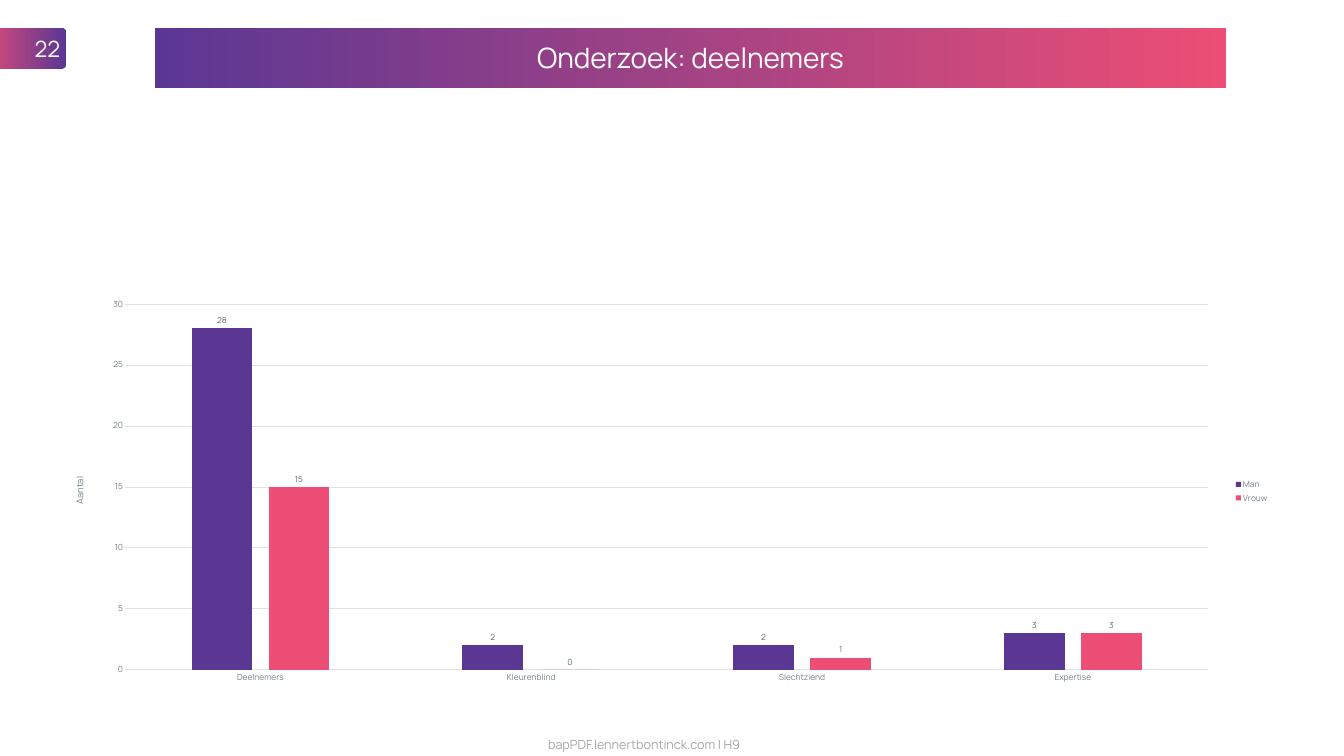
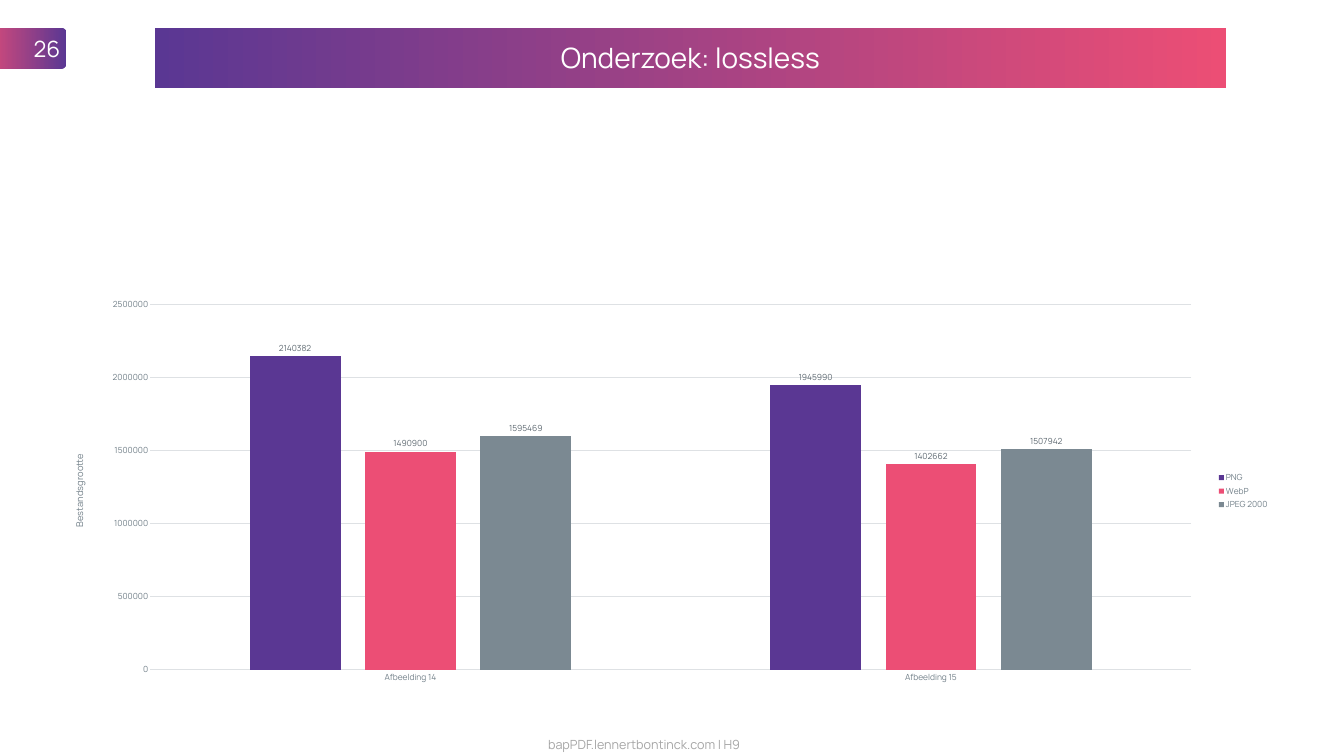
from lxml import etree
from pptx import Presentation
from pptx.chart.data import CategoryChartData
from pptx.dml.color import RGBColor
from pptx.enum.chart import XL_CHART_TYPE, XL_LABEL_POSITION, XL_LEGEND_POSITION, XL_TICK_MARK
from pptx.enum.shapes import MSO_SHAPE
from pptx.enum.text import MSO_ANCHOR, MSO_AUTO_SIZE, PP_ALIGN
from pptx.oxml.ns import qn
from pptx.util import Inches, Pt

COLUMNS = XL_CHART_TYPE.COLUMN_CLUSTERED
OUTSIDE_END = XL_LABEL_POSITION.OUTSIDE_END
LEGEND_RIGHT = XL_LEGEND_POSITION.RIGHT
NO_TICK = XL_TICK_MARK.NONE
RECT, ROUNDED = MSO_SHAPE.RECTANGLE, MSO_SHAPE.ROUNDED_RECTANGLE
MIDDLE = MSO_ANCHOR.MIDDLE
NO_FIT = MSO_AUTO_SIZE.NONE
CENTER, RIGHT = PP_ALIGN.CENTER, PP_ALIGN.RIGHT

FONT = "Manrope"
COLORS = {
    "purple": "5A3793", "pink": "EC4E75", "slate": "7B8992",
    "white": "FFFFFF", "footer": "A6A6A6", "axis": "717F88",
    "label": "5F6A72", "grid": "DEE1E4", "chart": "31373B",
}
SERIES_COLORS = ("purple", "pink", "slate")
FOOTER = "bapPDF.lennertbontinck.com | H9"

# Boxes are left, top, width, height in inches
BADGE_BOX = (-0.51, 0.56, 1.83, 0.8)
BAND_BOX = (3.07, 0.56, 21.25, 1.18)
FOOTER_BOX = (1.22, 14.58, 23.11, 0.4)
CHART_BOX = (1.22, 5.77, 24.06, 7.95)
PLOT_TOP, PLOT_HEIGHT = 0.26, 7.26


def color(name):
    return RGBColor.from_string(COLORS[name])


def style_font(font, size, name):
    font.name = FONT
    font.size = Pt(size)
    font.color.rgb = color(name)


def write(tf, text, size, name, align):
    tf.word_wrap = True
    tf.auto_size = NO_FIT
    tf.vertical_anchor = MIDDLE
    p = tf.paragraphs[0]
    p.alignment = align
    r = p.add_run()
    r.text = text
    style_font(r.font, size, name)


def add_gradient_shape(s, kind, box, angle):
    sp = s.shapes.add_shape(kind, *map(Inches, box))
    sp.shadow.inherit = False
    sp.line.fill.background()
    sp.fill.gradient()
    sp.fill.gradient_angle = angle
    for stop, name in zip(sp.fill.gradient_stops, ("purple", "pink")):
        stop.color.rgb = color(name)
    return sp


def add_badge(s, box, number):
    badge = add_gradient_shape(s, ROUNDED, box, 180)
    badge.adjustments[0] = 0.11
    write(badge.text_frame, str(number), 32, "white", RIGHT)


def add_title_band(s, box, text):
    band = add_gradient_shape(s, RECT, box, 0)
    left, top, width, height = box
    title = s.shapes.title
    title.left, title.width = Inches(left), Inches(width)
    title.top, title.height = Inches(top + 0.2), Inches(height - 0.41)
    write(title.text_frame, text, 40, "white", CENTER)
    band.element.addnext(title.element)  # keeps the title in front of its band


def add_footer(s, box):
    footer = s.shapes.add_textbox(*map(Inches, box))
    write(footer.text_frame, FOOTER, 18, "footer", CENTER)


def fix_plot_area(chart, box, left, width):
    """Pin the inner plot area, given in inches from the chart's corner."""
    plot_area = chart.element.xpath(".//c:plotArea")[0]
    for old in plot_area.findall(qn("c:layout")):
        plot_area.remove(old)
    layout = etree.Element(qn("c:layout"))
    manual = etree.SubElement(layout, qn("c:manualLayout"))
    settings = {
        "layoutTarget": "inner", "xMode": "edge", "yMode": "edge",
        "x": left / box[2], "y": PLOT_TOP / box[3],
        "w": width / box[2], "h": PLOT_HEIGHT / box[3],
    }
    for tag, value in settings.items():
        etree.SubElement(manual, qn("c:" + tag)).set("val", str(value))
    plot_area.insert(0, layout)


def style_axes(chart, axis_title, maximum, step):
    cat, val = chart.category_axis, chart.value_axis
    for axis in (cat, val):
        axis.major_tick_mark = axis.minor_tick_mark = NO_TICK
        style_font(axis.tick_labels.font, 12, "axis")
    val.has_major_gridlines = True
    for line in (cat.format.line, val.major_gridlines.format.line):
        line.color.rgb = color("grid")
        line.width = Pt(0.75)
    val.format.line.fill.background()
    val.minimum_scale, val.maximum_scale, val.major_unit = 0, maximum, step

    title = val.axis_title
    r = title.text_frame.paragraphs[0].add_run()
    r.text = axis_title
    style_font(r.font, 13.3, "axis")
    r.font.bold = False
    body = title.element.xpath(".//a:bodyPr")[0]
    body.set("rot", "-5400000")
    body.set("vert", "horz")


def add_column_chart(s, box, categories, series, axis_title, maximum, step, plot):
    data = CategoryChartData()
    data.categories = categories
    for name, values in series.items():
        data.add_series(name, values)
    chart = s.shapes.add_chart(COLUMNS, *map(Inches, box), data).chart
    chart.has_title = False
    style_font(chart.font, 10, "chart")
    chart.has_legend = True
    chart.legend.position = LEGEND_RIGHT
    chart.legend.include_in_layout = False
    style_font(chart.legend.font, 12, "axis")

    columns = chart.plots[0]
    columns.gap_width, columns.overlap = 219, -27
    columns.vary_by_categories = False
    for ser, name in zip(columns.series, SERIES_COLORS):
        ser.format.fill.solid()
        ser.format.fill.fore_color.rgb = color(name)
        labels = ser.data_labels
        labels.show_value = True
        labels.position = OUTSIDE_END
        style_font(labels.font, 12, "label")
    style_axes(chart, axis_title, maximum, step)
    fix_plot_area(chart, box, *plot)


def add_chart_slide(prs, number, title, **chart):
    s = prs.slides.add_slide(prs.slide_layouts[5])
    add_column_chart(s, CHART_BOX, **chart)
    add_badge(s, BADGE_BOX, number)
    add_title_band(s, BAND_BOX, title)
    add_footer(s, FOOTER_BOX)


def main():
    prs = Presentation()
    prs.slide_width, prs.slide_height = Inches(26.66), Inches(15)
    add_chart_slide(
        prs, 22, "Onderzoek: deelnemers",
        categories=["Deelnemers", "Kleurenblind", "Slechtziend", "Expertise"],
        series={"Man": (28, 2, 2, 3), "Vrouw": (15, 0, 1, 3)},
        axis_title="Aantal", maximum=30, step=5, plot=(1.26, 21.49),
    )
    add_chart_slide(
        prs, 26, "Onderzoek: lossless",
        categories=["Afbeelding 14", "Afbeelding 15"],
        series={
            "PNG": (2140382, 1945990),
            "WebP": (1490900, 1402662),
            "JPEG 2000": (1595469, 1507942),
        },
        axis_title="Bestandsgrootte", maximum=2500000, step=500000, plot=(1.76, 20.65),
    )
    prs.save("out.pptx")


if __name__ == "__main__":
    main()
